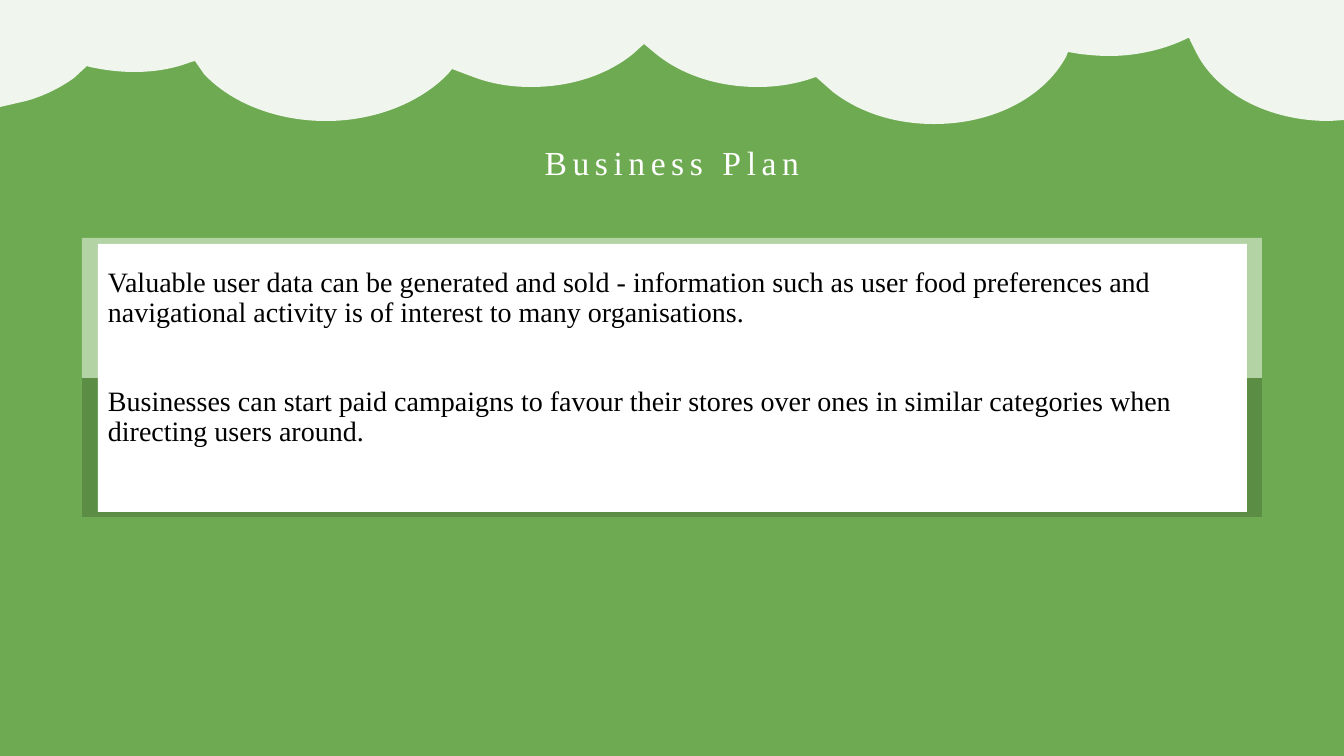
from dataclasses import dataclass

from lxml.etree import SubElement
from pptx import Presentation
from pptx.dml.color import RGBColor as Rgb
from pptx.enum.shapes import MSO_SHAPE as Kind
from pptx.enum.text import PP_ALIGN as Align
from pptx.oxml.ns import qn
from pptx.util import Pt

SCALE = 914400 / 100.8  # EMU in one px


@dataclass(frozen=True)
class Theme:
    font: str = "Times New Roman"
    back: str = "6EAA52"
    pale: str = "B3D3A5"
    deep: str = "5B8D45"
    white: str = "FFFFFF"
    black: str = "000000"
    head: int = 24
    body: int = 20


def emu(px):
    return round(px * SCALE)


class Deck:
    def __init__(self, theme, wide, high):
        self.theme = theme
        self.file = Presentation()
        self.file.slide_width, self.file.slide_height = emu(wide), emu(high)
        self.slide = self.file.slides.add_slide(self.file.slide_layouts[6])
        self.shapes = self.slide.shapes
        self.paint(self.slide.background.fill, theme.back)

    def paint(self, fill, color):
        fill.solid()
        fill.fore_color.rgb = Rgb.from_string(color)

    def finish(self, shape, color):
        shape.shadow.inherit = False
        shape.line.fill.background()
        self.paint(shape.fill, color)

    def panel(self, layers):
        group = self.shapes.add_group_shape()
        for area, color in layers:
            rect = group.shapes.add_shape(Kind.RECTANGLE, *map(emu, area))
            self.finish(rect, color)

    def outline(self, parts, color, alpha):
        """Draw (x, y) lines and six-number cubic curves from the corner."""
        ends = [tuple(map(emu, part[-2:])) for part in parts]
        form = self.shapes.build_freeform(*ends[0], scale=1.0)
        form.add_line_segments(ends[1:], close=True)
        shape = form.convert_to_shape()
        self.finish(shape, color)
        # Bend the segments that have control points
        steps = list(shape._element.iter(qn("a:lnTo")))
        for step, part in zip(steps, parts[1:]):
            if len(part) == 6:
                step.tag = qn("a:cubicBezTo")
                for n, at in enumerate((0, 2)):
                    knot = step.makeelement(qn("a:pt"), {
                        "x": str(emu(part[at])),
                        "y": str(emu(part[at + 1]))})
                    step.insert(n, knot)
        tint = shape._element.spPr.find(qn("a:solidFill"))[0]
        SubElement(tint, qn("a:alpha")).set("val", str(alpha * 1000))

    def text(self, area, lines, size, color, align=Align.LEFT,
             lead=1.0, gap=0, track=0):
        frame = self.shapes.add_textbox(*map(emu, area)).text_frame
        frame.word_wrap = True
        frame.text = "\n".join(lines)
        for index, para in enumerate(frame.paragraphs):
            para.alignment = align
            para.line_spacing = lead
            if index:
                para.space_before = Pt(gap)
            for run in para.runs:
                run.font.name = self.theme.font
                run.font.size = Pt(size)
                run.font.color.rgb = Rgb.from_string(color)
                if track:
                    run._r.get_or_add_rPr().set("spc", str(track * 100))


# Lower edge of the clouds from left to right, then back along the top
CLOUDS = [
    (0, 0), (0, 107), (26, 101), (44, 96, 60, 88, 74, 78),
    (87, 66), (90, 67), (104, 70, 119, 72, 134, 72),
    (154, 72, 173, 69, 191, 62),
    (195, 61), (204, 74), (230, 102, 275, 121, 326, 121),
    (376, 121, 421, 102, 448, 74),
    (452, 69), (476, 78), (493, 84, 511, 87, 531, 87),
    (571, 87, 607, 75, 633, 54),
    (644, 44), (656, 54), (682, 75, 718, 87, 758, 87),
    (777, 87, 796, 84, 813, 78),
    (816, 77), (833, 92), (859, 112, 894, 124, 934, 124),
    (994, 124, 1044, 97, 1066, 57),
    (1068, 52), (1080, 54), (1089, 55, 1099, 56, 1109, 56),
    (1138, 56, 1166, 49, 1188, 38),
    (1189, 38), (1197, 54), (1218, 94, 1269, 121, 1329, 121),
    (1344, 120), (1344, 0),
]

PLAN = [
    "Valuable user data can be generated and sold - information such as "
    "user food preferences and navigational activity is of interest to "
    "many organisations.",
    "Businesses can start paid campaigns to favour their stores over ones "
    "in similar categories when directing users around.",
]


def main():
    theme = Theme()
    deck = Deck(theme, 1344, 756)

    # Title
    deck.text((324, 137, 696, 92), ["Business Plan"], theme.head,
              theme.white, Align.CENTER, track=4)

    # Clouds
    deck.outline(CLOUDS, theme.white, 90)

    # Framed panel
    deck.panel([
        ((82, 238, 1180, 279), theme.pale),
        ((82, 378, 1180, 139), theme.deep),
        ((98, 244, 1149, 268), theme.white),
    ])

    # Body
    deck.text((98, 263, 1149, 235), PLAN, theme.body, theme.black,
              lead=0.9, gap=42)

    deck.file.save("out.pptx")


if __name__ == "__main__":
    main()
